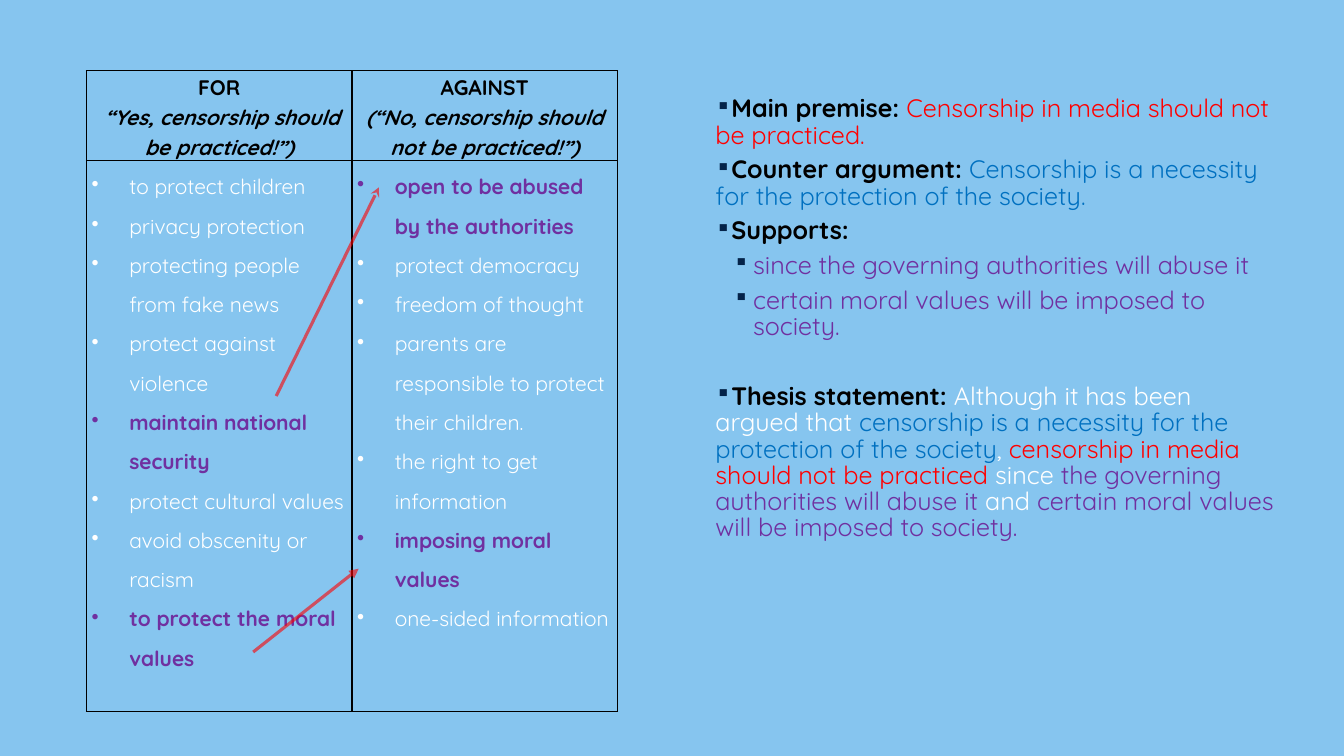
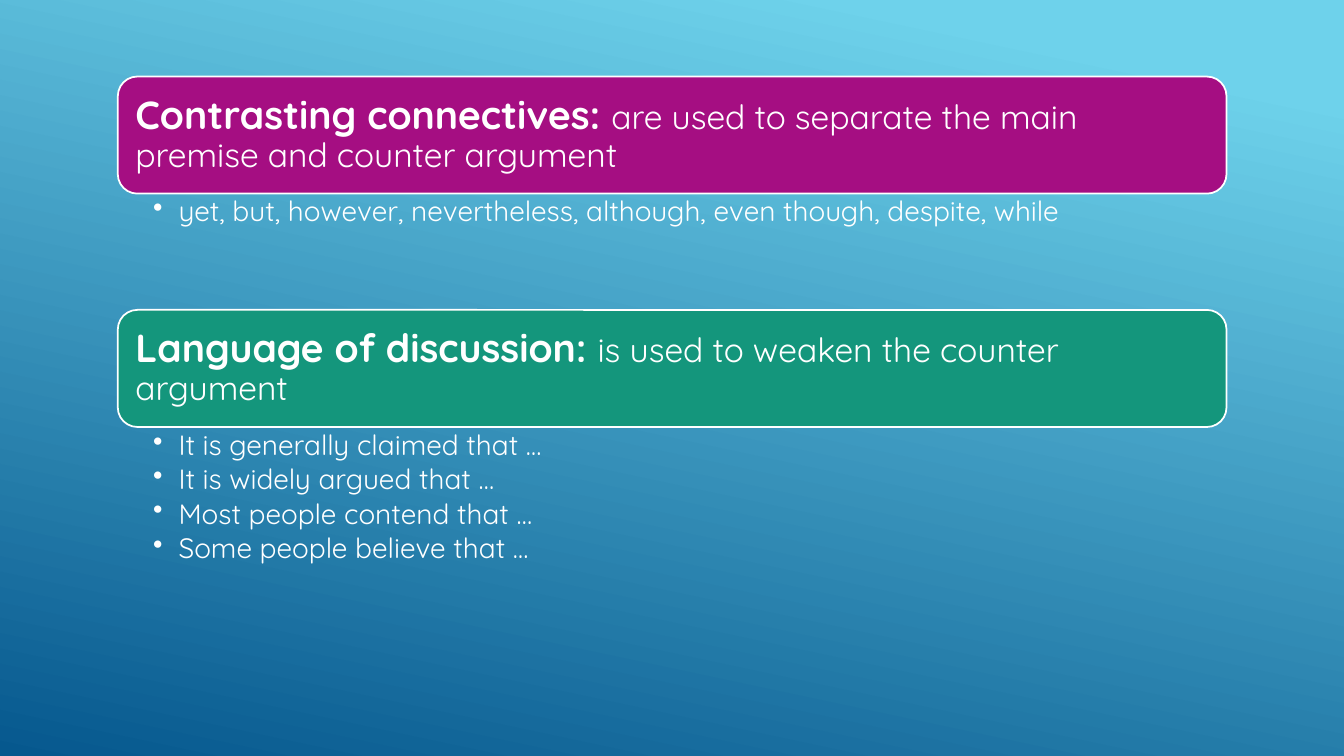
from dataclasses import dataclass
from pptx import Presentation
from pptx.dml.color import RGBColor
from pptx.enum.shapes import MSO_CONNECTOR, MSO_SHAPE
from pptx.enum.text import MSO_ANCHOR, PP_ALIGN
from pptx.oxml.ns import qn
from pptx.util import Cm, Pt
from lxml import etree

STRAIGHT = MSO_CONNECTOR.STRAIGHT
ROUND = MSO_SHAPE.ROUNDED_RECTANGLE
TOP, MIDDLE = MSO_ANCHOR.TOP, MSO_ANCHOR.MIDDLE
LEFT, CENTER = PP_ALIGN.LEFT, PP_ALIGN.CENTER


@dataclass(frozen=True)
class Theme:
    font: str = "Quicksand"
    sky: str = "86C5EF"
    aqua: str = "6ED2EB"
    deep: str = "06588E"
    navy: str = "042349"
    black: str = "000000"
    white: str = "FFFFFF"
    red: str = "FF0000"
    blue: str = "0070C0"
    purple: str = "7030A0"
    plum: str = "A50E82"
    green: str = "14967C"
    cell: int = 15
    body: int = 18
    item: int = 20
    lead: int = 24
    head: int = 28


T = Theme()


def rgb(code):
    return RGBColor.from_string(code)


def node(parent, tag, **attrs):
    return etree.SubElement(parent, qn("a:" + tag), {k: str(v) for k, v in attrs.items()})


class Deck:
    def __init__(self):
        self.prs = Presentation()
        self.prs.slide_width, self.prs.slide_height = Cm(33.87), Cm(19.05)
        self.slide = None

    def page(self, color, end=None):
        self.slide = self.prs.slides.add_slide(self.prs.slide_layouts[6])
        fill = self.slide.background.fill
        if end is None:
            fill.solid()
            fill.fore_color.rgb = rgb(color)
            return
        fill.gradient()
        fill.gradient_angle = 258
        for stop, place, code in zip(fill.gradient_stops, (0.1, 1), (color, end)):
            stop.position = place
            stop.color.rgb = rgb(code)

    def para(self, frame, runs, size, line, first=False, align=LEFT,
             mark=None, tint=None, scale=100, left=0, hang=0, before=0, after=0):
        par = frame.paragraphs[0] if first else frame.add_paragraph()
        par.alignment, par.line_spacing = align, line
        par.space_before, par.space_after = Pt(before), Pt(after)
        if mark:
            props = par._p.get_or_add_pPr()
            props.set("marL", str(Cm(left)))
            props.set("indent", str(Cm(-hang)))
            node(node(props, "buClr"), "srgbClr", val=tint or runs[0][1])
            node(props, "buSzPct", val=scale * 1000)
            node(props, "buChar", char=mark)
        par.font.name, par.font.size = T.font, Pt(size)
        for text, color, bold, *big in runs:
            run = par.add_run()
            run.text = text
            run.font.color.rgb = rgb(color)
            run.font.bold = bold
            if big:
                run.font.size = Pt(big[0])
        return par

    def fit(self, frame, pads, anchor=TOP):
        frame.word_wrap = True
        frame.vertical_anchor = anchor
        (frame.margin_left, frame.margin_top,
         frame.margin_right, frame.margin_bottom) = map(Cm, pads)

    def box(self, x, y, w, h, pads=(0.25, 0.13, 0.25, 0.13)):
        frame = self.slide.shapes.add_textbox(Cm(x), Cm(y), Cm(w), Cm(h)).text_frame
        self.fit(frame, pads)
        return frame

    def card(self, x, y, w, h, fill, title, text):
        shape = self.slide.shapes.add_shape(ROUND, Cm(x), Cm(y), Cm(w), Cm(h))
        shape.shadow.inherit = False
        shape.fill.solid()
        shape.fill.fore_color.rgb = rgb(fill)
        shape.line.color.rgb = rgb(T.white)
        shape.line.width = Pt(1.25)
        self.fit(shape.text_frame, (0.3,) * 4, MIDDLE)
        runs = [(title + " ", T.white, True, T.head), (text, T.white, False)]
        self.para(shape.text_frame, runs, T.lead, 0.9, first=True)

    def arrow(self, start, end, tip):
        line = self.slide.shapes.add_connector(STRAIGHT, *map(Cm, start + end))
        line.line.width = Pt(2.25)
        line.line.color.rgb = rgb(T.red)
        props = line._element.spPr
        node(props.find(".//" + qn("a:srgbClr")), "alpha", val=60000)
        node(props.find(qn("a:ln")), "tailEnd", type=tip)
        node(props, "effectLst")

    def border(self, cell):
        props = cell._tc.get_or_add_tcPr()
        for side in "LRTB":
            edge = node(props, "ln" + side, w=Pt(1))
            node(node(edge, "solidFill"), "srgbClr", val=T.black)
        cell.fill.background()

    def table(self, x, y, wide, tall, heads, lists):
        grid = self.slide.shapes.add_table(
            2, len(heads), Cm(x), Cm(y), Cm(wide * len(heads)), Cm(sum(tall))).table
        grid.first_row = grid.horz_banding = False
        for row, high in zip(grid.rows, tall):
            row.height = Cm(high)
        for col, (head, items) in enumerate(zip(heads, lists)):
            grid.columns[col].width = Cm(wide)
            top, low = grid.cell(0, col), grid.cell(1, col)
            for cell in (top, low):
                self.border(cell)
                cell.margin_left = cell.margin_right = Cm(0.13)
                cell.margin_top = cell.margin_bottom = 0
            for i, text in enumerate(head):
                par = self.para(top.text_frame, [(text, T.black, True)], T.cell, 1.15,
                                first=i == 0, align=CENTER)
                par.font.italic = i > 0
            for i, (text, key) in enumerate(items):
                color = T.purple if key else T.white
                self.para(low.text_frame, [(text, color, key)], T.cell, 1.5,
                          first=i == 0, mark="•", left=0.95, hang=0.95)


def debate(deck):
    deck.page(T.sky)
    frame = deck.box(17.78, 2.31, 14.73, 14.83)
    points = [
        (0, 0, [("Main premise: ", T.black, True),
                ("Censorship in media should not be practiced.", T.red, False)]),
        (0, 0, [("Counter argument: ", T.black, True),
                ("Censorship is a necessity for the protection of the society.", T.blue, False)]),
        (0, 0, [("Supports:", T.black, True)]),
        (0.95, 0, [("since the governing authorities will abuse it", T.purple, False)]),
        (0.95, 0, [("certain moral values will be imposed to society.", T.purple, False)]),
        (0, 25, [("Thesis statement: ", T.black, True),
                 ("Although it has been argued that ", T.white, False),
                 ("censorship is a necessity for the protection of the society", T.blue, False),
                 (", ", T.white, False),
                 ("censorship in media should not be practiced", T.red, False),
                 (" since ", T.white, False),
                 ("the governing authorities will abuse it ", T.purple, False),
                 ("and", T.white, False),
                 (" certain moral values will be imposed to society.", T.purple, False)]),
    ]
    for i, (left, before, runs) in enumerate(points):
        deck.para(frame, runs, T.body, 0.87, first=i == 0, mark="▪", tint=T.navy,
                  scale=85, left=left, hang=0.5, before=before, after=6)
    heads = [("FOR", " “Yes, censorship should be practiced!”)"),
             ("AGAINST", "(“No, censorship should not be practiced!”)")]
    pros = [("to protect children", False), ("privacy protection", False),
            ("protecting people from fake news", False),
            ("protect against violence", False),
            ("maintain national security", True),
            ("protect cultural values", False),
            ("avoid obscenity or racism", False),
            ("to protect the moral values", True)]
    cons = [("open to be abused by the authorities", True),
            ("protect democracy", False), ("freedom of thought", False),
            ("parents are responsible to protect their children.", False),
            ("the right to get information", False),
            ("imposing moral values", True),
            ("one-sided information", False)]
    deck.table(2.18, 1.78, 6.69, (2.27, 13.87), heads, (pros, cons))
    deck.arrow((6.96, 9.98), (9.55, 4.72), "stealth")
    deck.arrow((6.38, 16.43), (9.04, 14.33), "triangle")


def phrases(deck):
    deck.page(T.aqua, T.deep)
    groups = [
        (T.plum, "Contrasting connectives:",
         "are used to separate the main premise and counter argument",
         ["yet, but, however, nevertheless, although, even though, despite, while"]),
        (T.green, "Language of discussion:", "is used to weaken the counter argument",
         ["It is generally claimed that …", "It is widely argued that …",
          "Most people contend that …", "Some people believe that …"]),
    ]
    x, wide, high = 2.97, 27.94, 2.95
    for row, (fill, title, text, items) in enumerate(groups):
        y = 1.93 + row * 5.88
        deck.card(x, y, wide, high, fill, title, text)
        frame = deck.box(x, y + high, wide, 0.92 * len(items) + 0.2, (0.89, 0.1, 0.51, 0.1))
        for i, item in enumerate(items):
            deck.para(frame, [(item, T.white, False)], T.item, 0.9, first=i == 0,
                      mark="•", left=0.64, hang=0.64, after=3)


def main():
    deck = Deck()
    debate(deck)
    phrases(deck)
    deck.prs.save("out.pptx")


if __name__ == "__main__":
    main()
